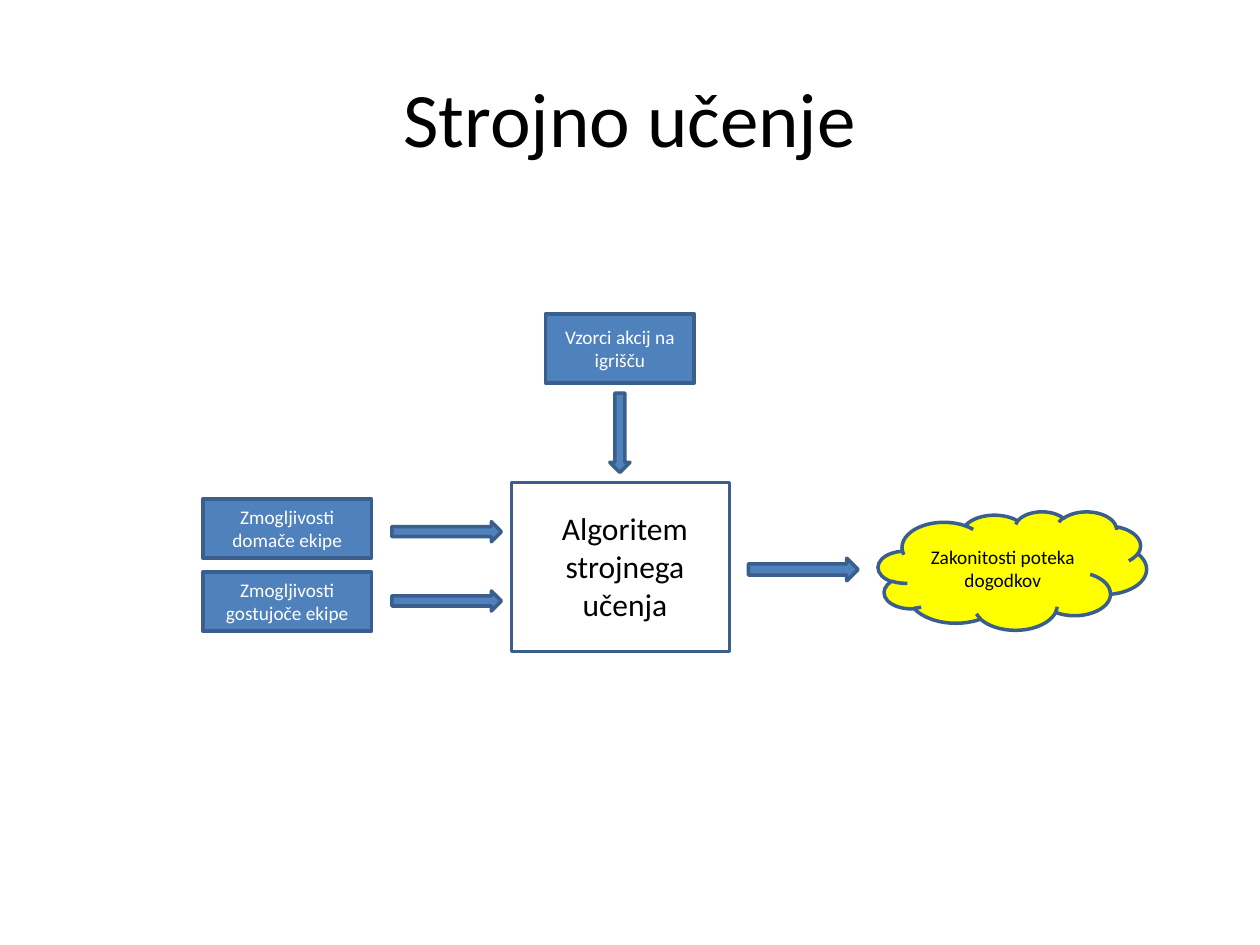
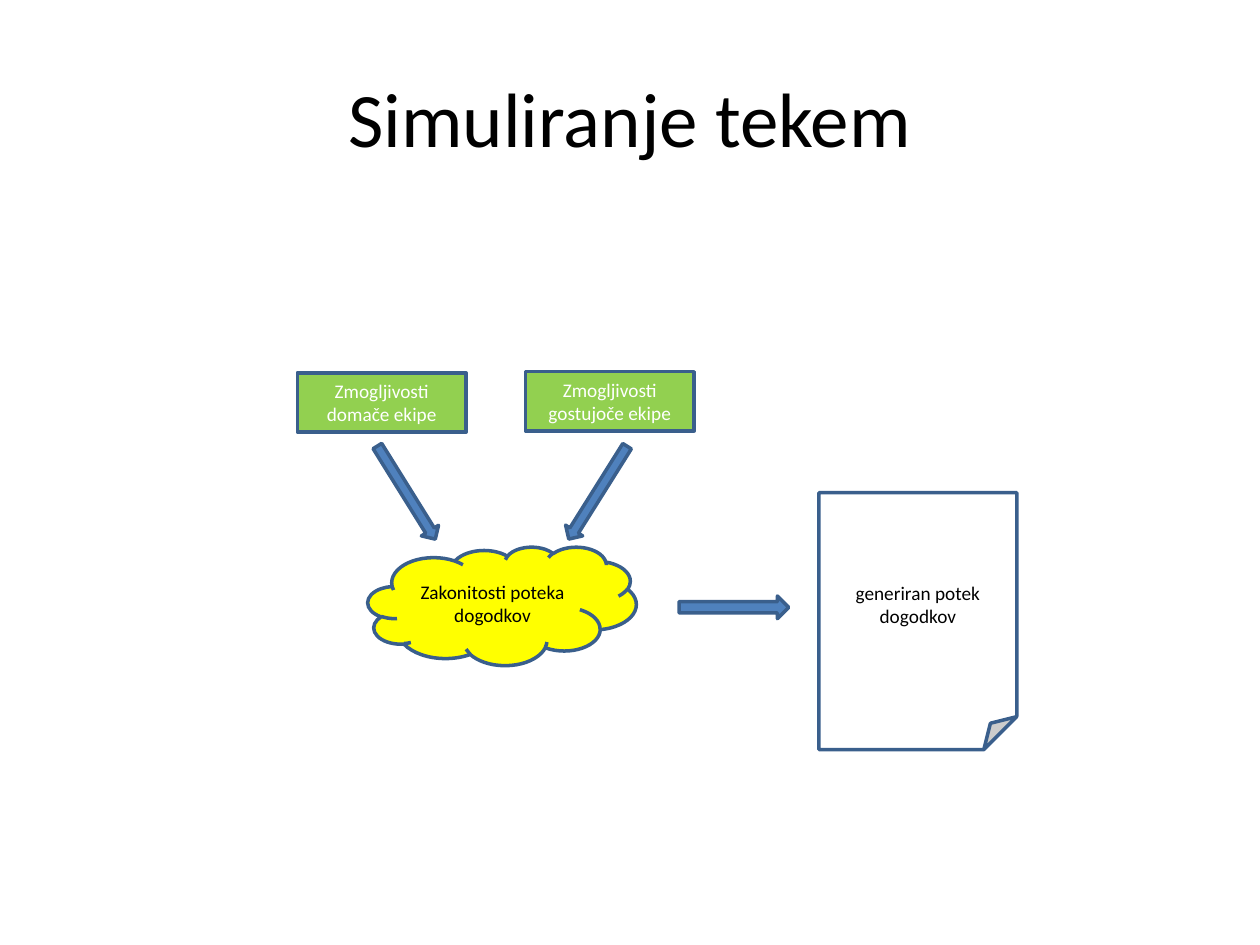
"""Builds two slides on machine learning and match simulation."""
from dataclasses import dataclass

from pptx import Presentation, util as u
from pptx.dml.color import RGBColor
from pptx.enum import shapes, text

WIDTH, HEIGHT = u.Inches(10), u.Inches(7.5)
COLUMNS, ROWS = 100, 75
FONT = "Calibri"
BLACK, WHITE, BLUE, NAVY = "000000", "FFFFFF", "4F81BD", "3A5F8C"
GREEN, YELLOW = "92D050", "FFFF00"
KIND = shapes.MSO_SHAPE
TEAMS = ("Zmogljivosti domače ekipe", "Zmogljivosti gostujoče ekipe")
TEAM_COLS, TEAM_ROWS = 13.4, 4.7
ARROW_COLS, INPUT_ROWS, RESULT_ROWS = 8.7, 1.6, 1.8


@dataclass(frozen=True)
class Area:
    col: float
    row: float
    cols: float
    rows: float

    def lengths(self) -> tuple[int, int, int, int]:
        """Return left, top, width and height in slide units."""
        across, down = WIDTH / COLUMNS, HEIGHT / ROWS
        return (round(self.col * across), round(self.row * down),
                round(self.cols * across), round(self.rows * down))


@dataclass(frozen=True)
class Node:
    area: Area
    kind: KIND = KIND.RECTANGLE
    fill: str = BLUE
    label: str = ""
    ink: str = WHITE
    rotation: float = 0


@dataclass(frozen=True)
class Caption:
    area: Area
    label: str
    size: float
    anchor: text.MSO_ANCHOR = text.MSO_ANCHOR.MIDDLE


def rgb(value: str) -> RGBColor:
    """Turn a hex string into a colour."""
    return RGBColor.from_string(value)


def write(frame, label: str, size: float, ink: str, anchor: text.MSO_ANCHOR) -> None:
    """Write one centred paragraph into a text frame."""
    frame.word_wrap = True
    frame.vertical_anchor = anchor
    paragraph = frame.paragraphs[0]
    paragraph.text = label
    paragraph.alignment = text.PP_ALIGN.CENTER
    for run in paragraph.runs:
        run.font.name, run.font.size = FONT, u.Pt(size)
        run.font.color.rgb = rgb(ink)


def draw_node(slide, node: Node) -> None:
    """Draw an outlined shape with its optional label."""
    shape = slide.shapes.add_shape(node.kind, *node.area.lengths())
    shape.shadow.inherit = False
    shape.rotation = node.rotation
    shape.fill.solid()
    shape.fill.fore_color.rgb = rgb(node.fill)
    shape.line.color.rgb = rgb(NAVY)
    shape.line.width = u.Pt(2)
    if node.label:
        write(shape.text_frame, node.label, 11, node.ink, text.MSO_ANCHOR.MIDDLE)


def draw_caption(slide, caption: Caption) -> None:
    """Draw black text without an outline."""
    box = slide.shapes.add_textbox(*caption.area.lengths())
    write(box.text_frame, caption.label, caption.size, BLACK, caption.anchor)


def team(index: int, col: float, row: float, fill: str) -> Node:
    """Describe the abilities of the home or away team."""
    return Node(Area(col, row, TEAM_COLS, TEAM_ROWS), fill=fill, label=TEAMS[index])


def arrow(col: float, row: float, rows: float, rotation: float = 0) -> Node:
    """Describe an arrow of the common length."""
    return Node(Area(col, row, ARROW_COLS, rows), KIND.RIGHT_ARROW, rotation=rotation)


def rules(col: float, row: float) -> Node:
    """Describe the cloud of learned rules."""
    return Node(Area(col, row, 21.3, 9.4), KIND.CLOUD, YELLOW,
                "Zakonitosti poteka dogodkov", BLACK)


def add_slide(deck, title: str, items: list[Node | Caption]) -> None:
    """Add a titled slide and draw its items from back to front."""
    slide = deck.slides.add_slide(deck.slide_layouts[6])
    draw_caption(slide, Caption(Area(5, 3, 90, 12.5), title, 44))
    for item in items:
        if isinstance(item, Node):
            draw_node(slide, item)
        else:
            draw_caption(slide, item)


def main() -> None:
    """Build and save the deck."""
    deck = Presentation()
    deck.slide_width, deck.slide_height = WIDTH, HEIGHT
    add_slide(deck, "Strojno učenje", [
        Node(Area(40.6, 38.3, 17.3, 13.4), fill=WHITE),
        Caption(Area(42.9, 39.9, 13.4, 10.1), "Algoritem\vstrojnega učenja", 18,
                text.MSO_ANCHOR.TOP),
        *(team(i, 16.1, 39.6 + 5.8 * i, BLUE) for i in range(len(TEAMS))),
        Node(Area(43.3, 24.9, 11.8, 5.5), label="Vzorci akcij na igrišču"),
        *(arrow(31.1, 41.4 + 5.5 * i, INPUT_ROWS) for i in range(len(TEAMS))),
        Node(Area(48.4, 31.2, 1.6, 6.3), KIND.DOWN_ARROW),
        arrow(59.4, 44.3, RESULT_ROWS),
        rules(69.7, 40.6),
    ])
    add_slide(deck, "Simuliranje tekem", [
        team(0, 23.6, 29.6, GREEN),
        team(1, 41.7, 29.5, GREEN),
        arrow(27.9, 38.3, INPUT_ROWS, 58.1),
        arrow(43.1, 38.3, INPUT_ROWS, 122.1),
        arrow(53.9, 47.3, RESULT_ROWS),
        rules(29.2, 43.4),
        Node(Area(65, 39.1, 15.7, 20.4), KIND.FOLDED_CORNER, WHITE,
             "generiran potek dogodkov", BLACK),
    ])
    deck.save("out.pptx")


if __name__ == "__main__":
    main()
